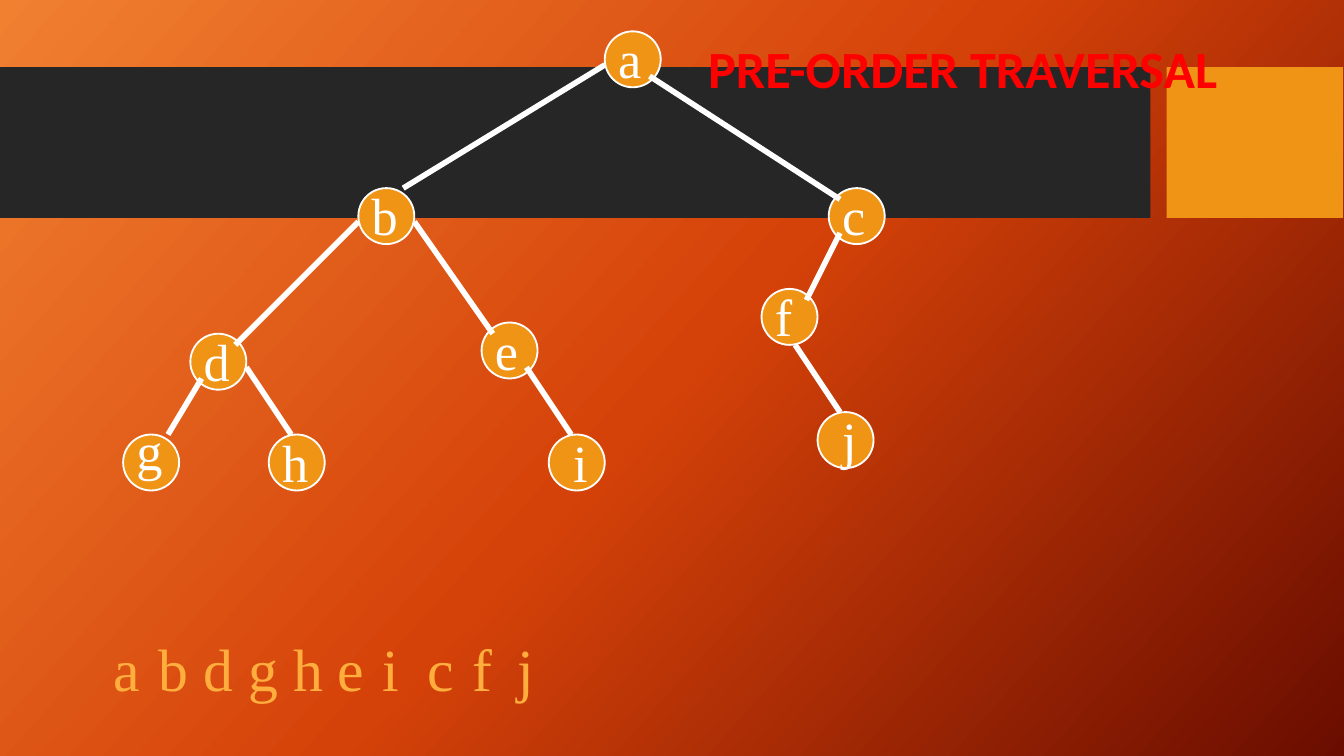
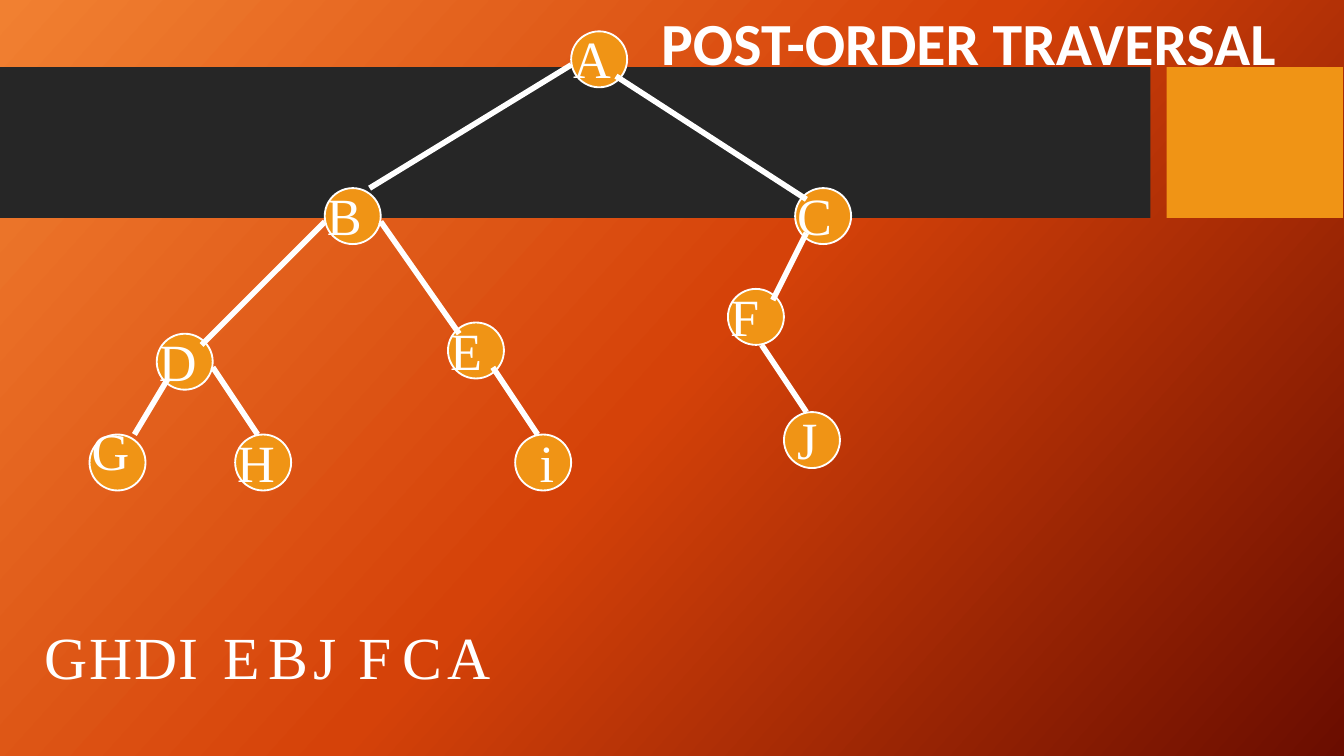
from copy import deepcopy
from dataclasses import dataclass

from lxml import etree
from pptx import Presentation
from pptx.dml.color import RGBColor
from pptx.enum.shapes import MSO_CONNECTOR, MSO_SHAPE
from pptx.enum.text import MSO_ANCHOR, MSO_AUTO_SIZE, PP_ALIGN
from pptx.oxml.ns import qn
from pptx.util import Pt

RECTANGLE = MSO_SHAPE.RECTANGLE
OVAL = MSO_SHAPE.OVAL
STRAIGHT = MSO_CONNECTOR.STRAIGHT
LEFT = PP_ALIGN.LEFT
TOP = MSO_ANCHOR.TOP
FIT_SHAPE = MSO_AUTO_SIZE.SHAPE_TO_FIT_TEXT
TITLE_ONLY = 5


@dataclass(frozen=True)
class Theme:
    white: RGBColor = RGBColor.from_string("FFFFFF")
    red: RGBColor = RGBColor.from_string("FF0000")
    dark: RGBColor = RGBColor.from_string("262626")
    orange: RGBColor = RGBColor.from_string("F09415")
    pale_orange: RGBColor = RGBColor.from_string("FFAE3E")
    gradient: tuple = ("F18031", "D54209", "6A0D00")
    gradient_angle: int = 318
    title_font: str = "Calibri"
    letter_font: str = "Times New Roman"
    node_size: int = 28
    visit_size: int = 32


THEME = Theme()

# The tree is placed relative to its top; node positions are left and top.
TREE_TOP = 16.8
NODE_DIAMETER = 30
NODES = [
    (324, 0), (192, 84), (444, 84), (102, 162), (258, 156),
    (408, 138), (66, 216), (144, 216), (294, 216), (438, 204),
]
LABEL_OFFSETS = {6: (0, -12), 8: (6, -6), 9: (6, -6)}
USUAL_LABEL_OFFSET = (0, -6)
EDGES = [
    (324, 18, 216, 84), (348, 24, 450, 90),
    (192, 102, 126, 168), (222, 102, 264, 162), (450, 108, 432, 144),
    (108, 186, 90, 216), (132, 180, 156, 216), (282, 180, 306, 216),
    (426, 168, 450, 204),
]
VISIT_STEP = 24

TRAVERSALS = [
    dict(title="PRE-ORDER TRAVERSAL", title_box=(372.2, 15.8, 329, 41),
         title_size=28, title_color=THEME.red, tree_shift=0, capital_shift=0,
         labels="abcdefghij", visits="abdgheicfj",
         visit_box=(54, 334.8, 30, 45.4), visit_color=THEME.pale_orange),
    dict(title="POST-ORDER TRAVERSAL", title_box=(347, -0.7, 398.2, 46),
         title_size=32, title_color=THEME.white, tree_shift=-18, capital_shift=-6,
         labels="ABCDEFGHiJ", visits="GHDIEBJFCA",
         visit_box=(16.8, 328.4, 36, 45.4), visit_color=THEME.white),
]


def add_filled_shape(shapes, kind, left, top, width, height, color):
    shape = shapes.add_shape(kind, Pt(left), Pt(top), Pt(width), Pt(height))
    shape.shadow.inherit = False
    shape.fill.solid()
    shape.fill.fore_color.rgb = color
    shape.line.fill.background()
    return shape


def add_letter(shapes, letter, left, top, width, height, size, color):
    box = shapes.add_textbox(Pt(left), Pt(top), Pt(width), Pt(height))
    box.text_frame.word_wrap = True
    box.text_frame.auto_size = FIT_SHAPE
    paragraph = box.text_frame.paragraphs[0]
    space_before = etree.SubElement(
        paragraph._p.get_or_add_pPr(), qn("a:spcBef"))
    etree.SubElement(space_before, qn("a:spcPct"), val="50000")
    run = paragraph.add_run()
    run.text = letter
    run.font.name = THEME.letter_font
    run.font.size = Pt(size)
    run.font.color.rgb = color


presentation = Presentation()
presentation.slide_width = Pt(720)
presentation.slide_height = Pt(405)
layout = presentation.slide_layouts[TITLE_ONLY]

# Gradient background, shared through the master
master = presentation.slide_master
background = master.background.fill
background.gradient()
background.gradient_angle = THEME.gradient_angle
stop_list = master.element.find(".//" + qn("a:gsLst"))
stop_list.insert(1, deepcopy(stop_list[0]))
for stop, position, color in zip(background.gradient_stops, (0, 0.5, 1), THEME.gradient):
    stop.position = position
    stop.color.rgb = RGBColor.from_string(color)

slides = [presentation.slides.add_slide(layout) for _ in TRAVERSALS]

# Bands are made on a slide, then moved behind the layout's placeholders
for index, (left, width, color) in enumerate(
        [(0, 616.3, THEME.dark), (625, 94.5, THEME.orange)]):
    band = add_filled_shape(slides[0].shapes, RECTANGLE, left, 36, width, 80.7, color)
    layout.shapes.element.insert(2 + index, band.element)

for slide, traversal in zip(slides, TRAVERSALS):
    title = slide.shapes.title
    title.left, title.top, title.width, title.height = map(Pt, traversal["title_box"])
    title.text_frame.word_wrap = True
    title.text_frame.auto_size = FIT_SHAPE
    title.text_frame.vertical_anchor = TOP
    paragraph = title.text_frame.paragraphs[0]
    paragraph.alignment = LEFT
    run = paragraph.add_run()
    run.text = traversal["title"]
    run.font.name = THEME.title_font
    run.font.size = Pt(traversal["title_size"])
    run.font.bold = True
    run.font.color.rgb = traversal["title_color"]

    # Tree: nodes, edges, then labels on top
    tree = slide.shapes.add_group_shape().shapes
    shift = traversal["tree_shift"]
    for left, top in NODES:
        node = add_filled_shape(tree, OVAL, left + shift, TREE_TOP + top,
                                NODE_DIAMETER, NODE_DIAMETER, THEME.orange)
        node.line.color.rgb = THEME.white
        node.line.width = Pt(1)

    for start_x, start_y, end_x, end_y in EDGES:
        edge = tree.add_connector(
            STRAIGHT, Pt(start_x + shift), Pt(TREE_TOP + start_y),
            Pt(end_x + shift), Pt(TREE_TOP + end_y))
        edge.line.color.rgb = THEME.white
        edge.line.width = Pt(3)
        etree.SubElement(edge.element.spPr, qn("a:effectLst"))

    for index, (label, (left, top)) in enumerate(zip(traversal["labels"], NODES)):
        offset_x, offset_y = LABEL_OFFSETS.get(index, USUAL_LABEL_OFFSET)
        if label.isupper():
            offset_x += traversal["capital_shift"]
        add_letter(tree, label, left + shift + offset_x, TREE_TOP + top + offset_y,
                   60, 41, THEME.node_size, THEME.white)

    # Order in which the nodes are visited
    left, top, width, height = traversal["visit_box"]
    for index, letter in enumerate(traversal["visits"]):
        add_letter(slide.shapes, letter, left + index * VISIT_STEP, top,
                   width, height, THEME.visit_size, traversal["visit_color"])

presentation.save("out.pptx")
